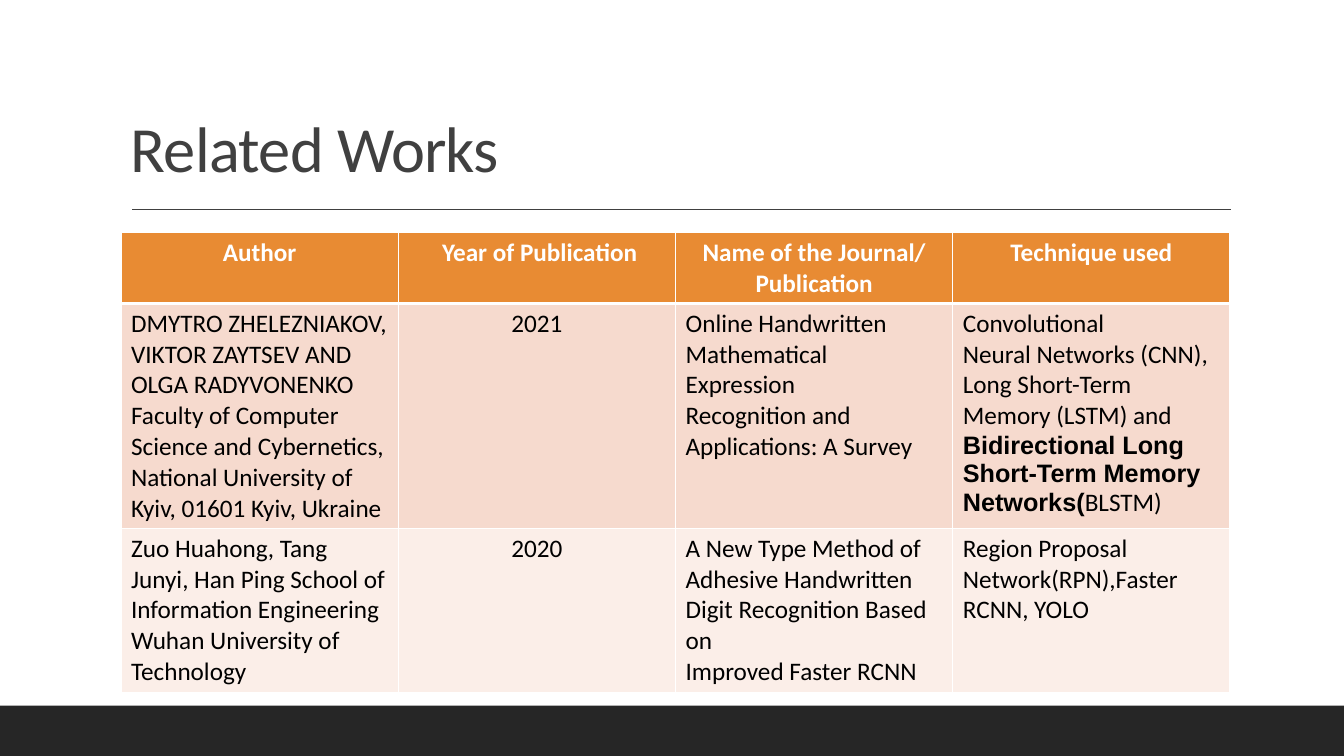
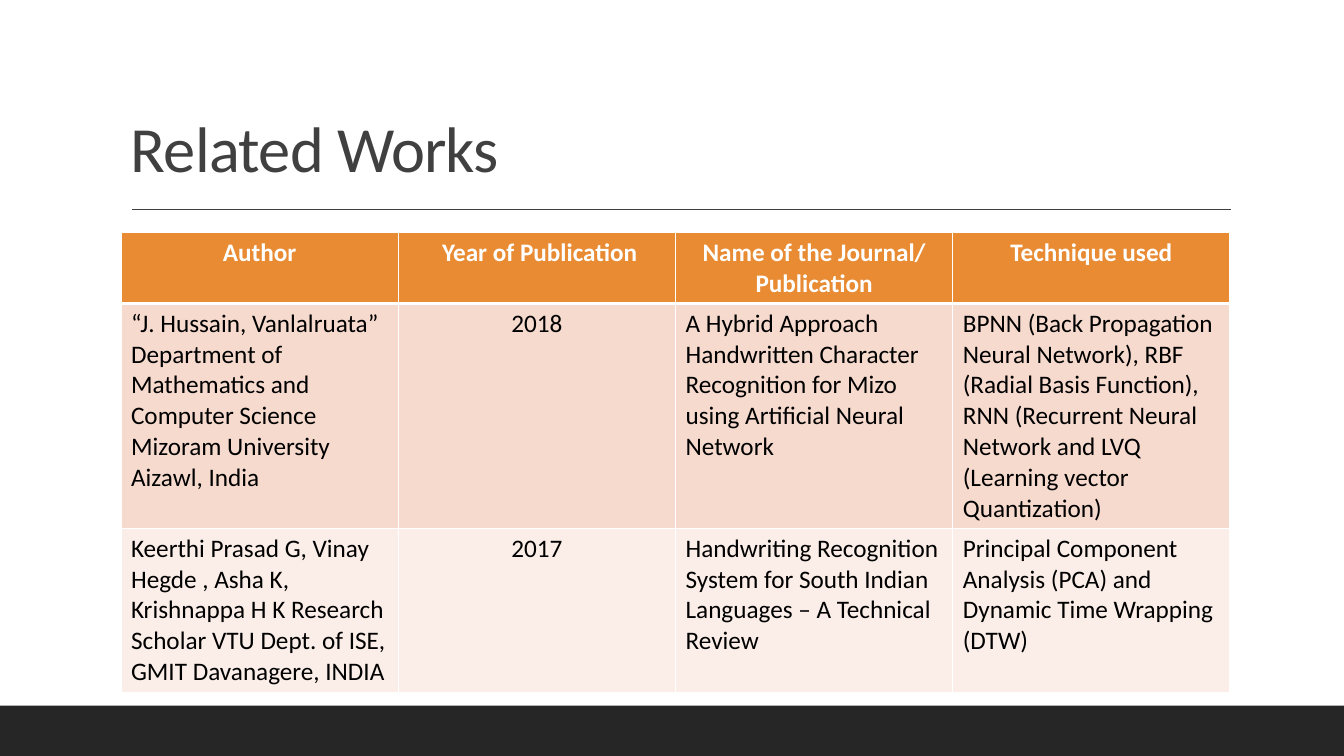
import lxml.etree
import pptx
import pptx.dml.color
import pptx.enum.shapes
import pptx.enum.text
import pptx.oxml
import pptx.oxml.ns
import pptx.util

Inches = pptx.util.Inches
RGBColor = pptx.dml.color.RGBColor

WHITE = RGBColor(0xFF, 0xFF, 0xFF)
BLACK = RGBColor(0x00, 0x00, 0x00)
TITLE_GREY = RGBColor(0x40, 0x40, 0x40)
FOOTER_GREY = RGBColor(0x26, 0x26, 0x26)
HEADER_ORANGE = RGBColor(0xE8, 0x8B, 0x33)
ROW_FILLS = [HEADER_ORANGE, RGBColor(0xF6, 0xDA, 0xCE), RGBColor(0xFB, 0xEE, 0xE8)]

FONT = "Calibri"
EMPHASIS_FONT = "Arial"
EMPHASIS = "Bidirectional Long Short-Term Memory Networks("
SLIDE_WIDTH = 13.33
TABLE_LEFT, TABLE_TOP, COLUMN_WIDTH = 1.2, 2.31, 2.75
ROW_HEIGHTS = [0.7, 2.23, 1.63]
YEAR_COLUMN = 1

HEADER = ["Author", " Year of Publication", "Name of the Journal/ Publication", "Technique used"]
# One list of works per slide; a line break starts a new paragraph.
WORKS_BY_SLIDE = [
    [
        [
            "DMYTRO ZHELEZNIAKOV, VIKTOR ZAYTSEV AND OLGA RADYVONENKO Faculty of Computer "
            "Science and Cybernetics, National University of Kyiv, 01601 Kyiv, Ukraine",
            "2021",
            "Online Handwritten Mathematical Expression\n"
            "Recognition and Applications: A Survey",
            "Convolutional\nNeural Networks (CNN), Long Short-Term Memory (LSTM) and "
            + EMPHASIS + "BLSTM)",
        ],
        [
            "Zuo Huahong, Tang Junyi, Han Ping School of Information Engineering\n"
            "Wuhan University of Technology",
            "2020",
            "A New Type Method of Adhesive Handwritten Digit Recognition Based on\n"
            "Improved Faster RCNN",
            "Region Proposal Network(RPN),Faster RCNN, YOLO",
        ],
    ],
    [
        [
            "“J. Hussain, Vanlalruata” Department of Mathematics and Computer Science "
            "Mizoram University Aizawl, India",
            "2018",
            "A Hybrid Approach Handwritten Character Recognition for Mizo using "
            "Artificial Neural Network",
            "BPNN (Back Propagation Neural Network), RBF (Radial Basis Function), RNN "
            "(Recurrent Neural Network and LVQ (Learning vector Quantization)",
        ],
        [
            "Keerthi Prasad G, Vinay Hegde , Asha K, Krishnappa H K Research Scholar "
            "VTU Dept. of ISE, GMIT Davanagere, INDIA",
            "2017",
            "Handwriting Recognition System for South Indian Languages – A Technical Review",
            "Principal Component Analysis (PCA) and Dynamic Time Wrapping (DTW)",
        ],
    ],
]


def add_frame(slide, title):
    """Add the footer band, the title and the rule below it."""
    band = slide.shapes.add_shape(
        pptx.enum.shapes.MSO_SHAPE.RECTANGLE,
        Inches(0), Inches(7), Inches(SLIDE_WIDTH), Inches(0.5))
    band.shadow.inherit = False
    band.fill.solid()
    band.fill.fore_color.rgb = FOOTER_GREY
    band.line.fill.background()

    rule = slide.shapes.add_connector(
        pptx.enum.shapes.MSO_CONNECTOR.STRAIGHT,
        Inches(1.31), Inches(2.08), Inches(12.21), Inches(2.08))
    rule.line.color.rgb = TITLE_GREY
    rule.line.width = pptx.util.Pt(1)
    lxml.etree.SubElement(rule._element.spPr, pptx.oxml.ns.qn("a:effectLst"))

    title_box = slide.shapes.add_textbox(
        Inches(TABLE_LEFT), Inches(0.31), Inches(11), Inches(1.59))
    text_frame = title_box.text_frame
    text_frame.word_wrap = True
    text_frame.vertical_anchor = pptx.enum.text.MSO_ANCHOR.BOTTOM
    text_frame.text = title
    paragraph = text_frame.paragraphs[0]
    paragraph.line_spacing = 0.9
    run = paragraph.runs[0]
    run.font.name = FONT
    run.font.size = pptx.util.Pt(46)
    run.font.color.rgb = TITLE_GREY
    run._r.get_or_add_rPr().set("spc", "-50")


def style_cell(cell, fill, border_widths):
    """Fill a cell and draw its white borders, widths in points by side."""
    cell.fill.solid()
    cell.fill.fore_color.rgb = fill
    properties = cell._tc.get_or_add_tcPr()
    for position, (side, width) in enumerate(border_widths.items()):
        border = pptx.oxml.parse_xml(
            f'<a:ln{side} {pptx.oxml.ns.nsdecls("a")} w="{pptx.util.Pt(width)}">'
            f'<a:solidFill><a:srgbClr val="{WHITE}"/></a:solidFill></a:ln{side}>')
        properties.insert(position, border)


presentation = pptx.Presentation()
presentation.slide_width = Inches(SLIDE_WIDTH)
presentation.slide_height = Inches(7.5)

for works in WORKS_BY_SLIDE:
    slide = presentation.slides.add_slide(presentation.slide_layouts[6])
    add_frame(slide, "Related Works")

    rows = [HEADER] + works
    table = slide.shapes.add_table(
        len(rows), len(HEADER), Inches(TABLE_LEFT), Inches(TABLE_TOP),
        Inches(COLUMN_WIDTH * len(HEADER)), Inches(sum(ROW_HEIGHTS))).table
    for column in table.columns:
        column.width = Inches(COLUMN_WIDTH)

    for row_index, texts in enumerate(rows):
        table.rows[row_index].height = Inches(ROW_HEIGHTS[row_index])
        is_header = row_index == 0
        border_widths = {
            "L": 1, "R": 1,
            "T": 3 if row_index == 1 else 1,
            "B": 3 if is_header else 1,
        }
        for column_index, text in enumerate(texts):
            cell = table.cell(row_index, column_index)
            style_cell(cell, ROW_FILLS[row_index], border_widths)
            cell.text_frame.text = text
            for paragraph in cell.text_frame.paragraphs:
                if is_header or column_index == YEAR_COLUMN:
                    paragraph.alignment = pptx.enum.text.PP_ALIGN.CENTER
                if EMPHASIS in paragraph.text:
                    parts = paragraph.text.partition(EMPHASIS)
                    paragraph.text = parts[0]
                    for part in parts[1:]:
                        paragraph.add_run().text = part
                for run in paragraph.runs:
                    is_emphasis = run.text == EMPHASIS
                    run.font.name = EMPHASIS_FONT if is_emphasis else FONT
                    run.font.size = pptx.util.Pt(18)
                    run.font.bold = is_header or is_emphasis
                    run.font.color.rgb = WHITE if is_header else BLACK

presentation.save("out.pptx")
